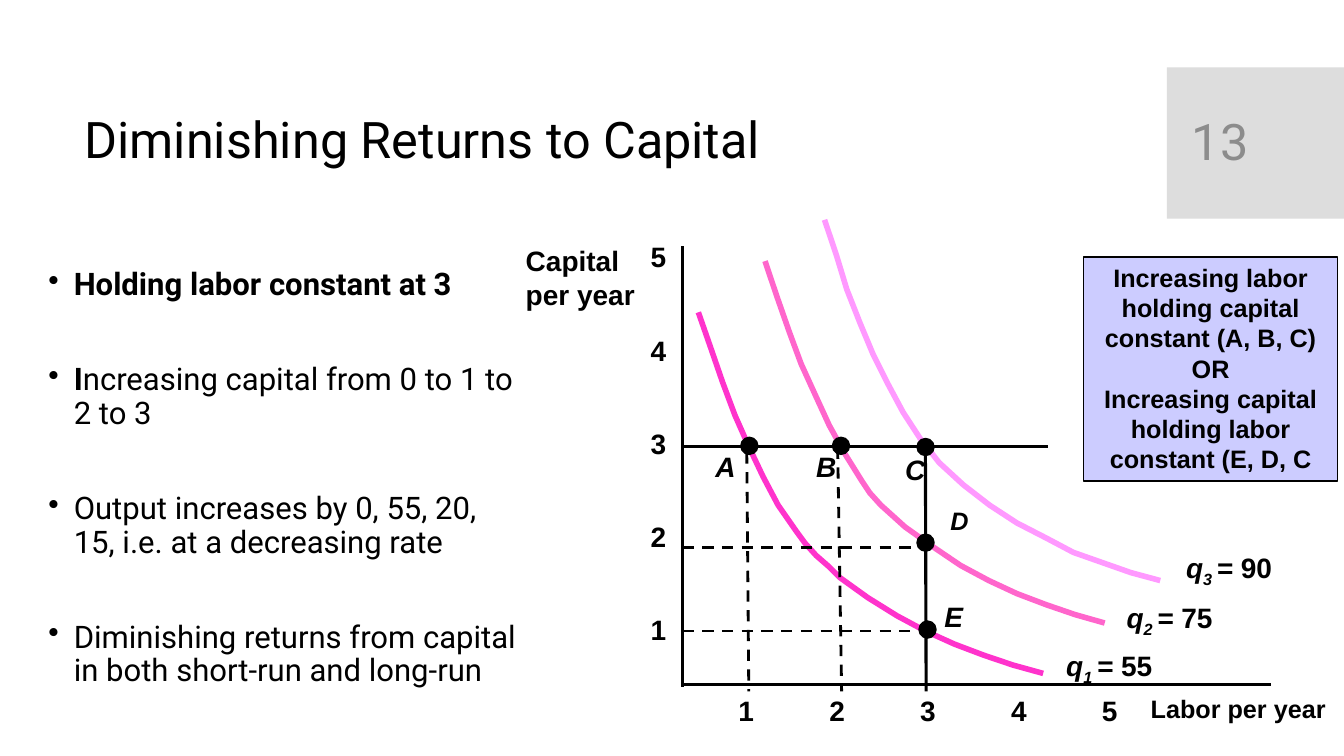
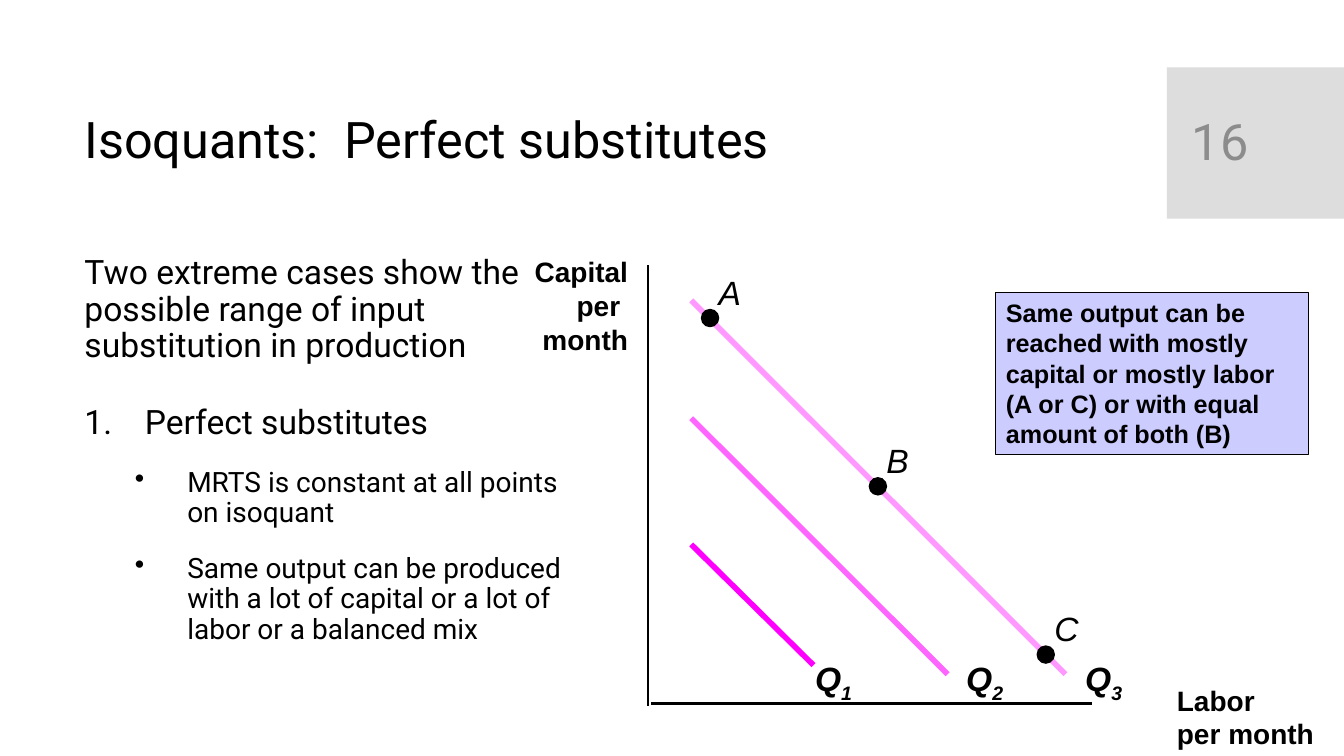
"""Build two lecture slides on isoquants: diminishing returns and perfect substitutes."""
from lxml.etree import SubElement
from pptx import Presentation
from pptx.dml.color import RGBColor
from pptx.enum.dml import MSO_LINE
from pptx.enum.shapes import MSO_CONNECTOR, MSO_SHAPE
from pptx.enum.text import MSO_ANCHOR, PP_ALIGN
from pptx.oxml.ns import qn
from pptx.util import Cm, Pt

BLACK = RGBColor(0x00, 0x00, 0x00)
BAND_GRAY = RGBColor(0xDD, 0xDD, 0xDD)
NUMBER_GRAY = RGBColor(0x8C, 0x8C, 0x8C)
NOTE_BLUE = RGBColor(0xCC, 0xCC, 0xFF)
HOT_PINK = RGBColor(0xFF, 0x33, 0xCC)
MID_PINK = RGBColor(0xFF, 0x66, 0xCC)
LIGHT_PINK = RGBColor(0xFF, 0x99, 0xFF)
MAGENTA = RGBColor(0xFF, 0x00, 0xFF)
PALE_MAGENTA = RGBColor(0xFF, 0x66, 0xFF)
HEADING_FONT = "Roboto"
LABEL_FONT = "Arial"


def add_text(slide, box, lines, size, font=LABEL_FONT, bold=True, italic=False,
             color=BLACK, align=PP_ALIGN.LEFT, anchor=MSO_ANCHOR.TOP, wrap=False):
    shape = slide.shapes.add_textbox(*map(Cm, box))
    frame = shape.text_frame
    frame.word_wrap = wrap
    frame.vertical_anchor = anchor
    for index, line in enumerate(lines):
        paragraph = frame.add_paragraph() if index else frame.paragraphs[0]
        paragraph.text = line
        paragraph.alignment = align
        paragraph.font.name = font
        paragraph.font.size = Pt(size)
        paragraph.font.bold = bold
        paragraph.font.italic = italic
        paragraph.font.color.rgb = color
    return shape


def add_quantity(slide, box, letter, subscript, value, size):
    shape = add_text(slide, box, [letter], size, italic=True)
    paragraph = shape.text_frame.paragraphs[0]
    run = paragraph.add_run()
    run.text = subscript
    run._r.get_or_add_rPr().set("baseline", "-25000")
    if value:
        paragraph.add_run().text = "= "
        run = paragraph.add_run()
        run.text = value
        run.font.italic = False


presentation = Presentation()
presentation.slide_width = Cm(33.87)
presentation.slide_height = Cm(19.05)

slides = []
for title, number in [("Diminishing Returns to Capital", "13"),
                      ("Isoquants:  Perfect substitutes", "16")]:
    slide = presentation.slides.add_slide(presentation.slide_layouts[6])
    band = slide.shapes.add_shape(MSO_SHAPE.RECTANGLE, Cm(29.41), Cm(1.7), Cm(4.46), Cm(3.81))
    band.shadow.inherit = False
    band.fill.solid()
    band.fill.fore_color.rgb = BAND_GRAY
    band.line.fill.background()
    for box, text, color in [((1.88, 2.08, 26.7, 3), title, BLACK),
                             ((29.79, 2.13, 3.2, 3.02), number, NUMBER_GRAY)]:
        shape = add_text(slide, box, [text], 36, HEADING_FONT, bold=False, color=color,
                         anchor=MSO_ANCHOR.MIDDLE, wrap=True)
        shape.text_frame.paragraphs[0].line_spacing = 0.9
    slides.append(slide)
returns, substitutes = slides

bullet = ("a:buChar", "char", "•")
numbering = ("a:buAutoNum", "type", "arabicPeriod")
bodies = [
    (returns, (0.97, 6.65, 12.42, 11.33), [
        (["Holding labor constant at 3"], 22.2, True, 0, 0.64, 0.64, bullet),
        (["I", "ncreasing capital from 0 to 1 to 2 to 3"], 22.2, False, 44, 0.64, 0.64, bullet),
        (["Output increases by 0, 55, 20, 15, i.e. at a decreasing rate"],
         22.2, False, 44, 0.64, 0.64, bullet),
        (["Diminishing returns from capital in both short-run and long-run"],
         22.2, False, 44, 0.64, 0.64, bullet)]),
    (substitutes, (1.88, 6.32, 12.73, 10.16), [
        (["Two extreme cases show the possible range of input substitution in production"],
         24, False, 0, 0, 0, None),
        (["Perfect substitutes"], 24, False, 29.5, 1.52, 1.52, numbering),
        (["MRTS is constant at all points on isoquant"], 20, False, 18.5, 2.59, 1.32, bullet),
        (["Same output can be produced with a lot of capital or a lot of labor "
          "or a balanced mix"], 20, False, 18.5, 2.59, 1.32, bullet)]),
]
for slide, box, items in bodies:
    frame = slide.shapes.add_textbox(*map(Cm, box)).text_frame
    frame.word_wrap = True
    for index, (texts, size, bold, space, margin, hanging, marker) in enumerate(items):
        paragraph = frame.add_paragraph() if index else frame.paragraphs[0]
        for text in texts:
            paragraph.add_run().text = text
        if marker:
            tag, attribute, value = marker
            properties = paragraph._p.get_or_add_pPr()
            properties.set("marL", str(Cm(margin)))
            properties.set("indent", str(-Cm(hanging)))
            SubElement(properties, qn(tag)).set(attribute, value)
        paragraph.line_spacing = 0.9
        paragraph.space_before = Pt(space)
        paragraph.font.name = HEADING_FONT
        paragraph.font.size = Pt(size)
        paragraph.font.bold = bold
        paragraph.font.color.rgb = BLACK
        if len(texts) > 1:
            paragraph.runs[0].font.bold = True

notes = [
    (returns, (27.31, 6.48, 6.4, 5.64), PP_ALIGN.CENTER, 1,
     ["Increasing labor holding capital constant (A, B, C)", "OR",
      "Increasing capital holding labor constant (E, D, C"]),
    (substitutes, (25.1, 7.37, 7.87, 4.09), PP_ALIGN.LEFT, 0.75,
     ["Same output can be reached with mostly capital or mostly labor (A or C) "
      "or with equal amount of both (B)"]),
]
for slide, box, align, width, lines in notes:
    note = add_text(slide, box, lines, 18, align=align, wrap=True)
    note.fill.solid()
    note.fill.fore_color.rgb = NOTE_BLUE
    note.line.color.rgb = BLACK
    note.line.width = Pt(width)

isoquants = [
    (HOT_PINK, [
        (17.6, 7.87), (17.91, 8.76), (18.21, 9.63), (18.52, 10.46), (18.87, 11.25),
        (19.23, 12.01), (19.61, 12.73), (20.07, 13.39), (20.29, 13.69), (20.57, 14),
        (20.88, 14.27), (21.16, 14.55), (21.87, 15.06), (22.61, 15.52), (23.32, 15.9),
        (24.05, 16.23), (24.79, 16.51), (25.53, 16.76), (26.29, 16.97)]),
    (MID_PINK, [
        (19.28, 6.58), (19.58, 7.47), (19.89, 8.36), (20.19, 9.17), (20.55, 9.96),
        (20.9, 10.72), (21.29, 11.43), (21.72, 12.12), (21.92, 12.42), (22.2, 12.73),
        (22.5, 13), (22.81, 13.28), (23.5, 13.77), (24.21, 14.25), (24.92, 14.63),
        (25.63, 14.96), (26.37, 15.24), (27.1, 15.49), (27.84, 15.7)]),
    (LIGHT_PINK, [
        (20.78, 5.54), (21.08, 6.43), (21.34, 7.29), (21.67, 8.13), (22, 8.92),
        (22.38, 9.68), (22.76, 10.39), (23.19, 11.05), (23.67, 11.66), (24.28, 12.22),
        (24.94, 12.73), (25.63, 13.18), (26.37, 13.56), (27.05, 13.92), (27.76, 14.17),
        (28.5, 14.43), (29.24, 14.63)]),
]
for color, points in isoquants:
    start, *rest = [(Cm(x), Cm(y)) for x, y in points]
    builder = returns.shapes.build_freeform(*start)
    builder.add_line_segments(rest, close=False)
    curve = builder.convert_to_shape()
    curve.shadow.inherit = False
    curve.fill.background()
    curve.line.color.rgb = color
    curve.line.width = Pt(4)

lines = [
    (returns, (17.22, 17.25, 32.03, 17.25), BLACK, 2, False),
    (returns, (17.2, 6.2, 17.2, 17.3), BLACK, 2, False),
    (returns, (17.2, 11.25, 26.42, 11.25), BLACK, 2, False),
    (returns, (23.32, 11.13, 23.34, 17.42), BLACK, 2.25, False),
    (returns, (18.82, 11.4, 18.87, 17.42), BLACK, 2, True),
    (returns, (21.11, 11.28, 21.21, 17.42), BLACK, 2, True),
    (returns, (17.2, 13.79, 23.06, 13.79), BLACK, 2, True),
    (returns, (17.2, 15.9, 22.94, 15.9), BLACK, 2, True),
    (substitutes, (16.33, 6.68, 16.33, 17.78), BLACK, 2, False),
    (substitutes, (16.41, 17.73, 27.53, 17.73), BLACK, 2, False),
    (substitutes, (17.42, 13.72, 20.5, 16.76), MAGENTA, 4, False),
    (substitutes, (17.42, 10.54, 23.88, 16.99), PALE_MAGENTA, 4, False),
    (substitutes, (17.42, 7.57, 26.85, 16.99), LIGHT_PINK, 4, False),
]
for slide, ends, color, width, dashed in lines:
    connector = slide.shapes.add_connector(MSO_CONNECTOR.STRAIGHT, *map(Cm, ends))
    connector.line.color.rgb = color
    connector.line.width = Pt(width)
    if dashed:
        connector.line.dash_style = MSO_LINE.DASH
    SubElement(connector._element.spPr, qn("a:effectLst"))

points = [
    (returns, "A", 18.67, 11.02, (17.78, 11.2), 20, True),
    (returns, "B", 20.98, 11.02, (20.32, 11.2), 20, True),
    (returns, "C", 23.11, 11.05, (22.56, 11.28), 20, True),
    (returns, "D", 23.11, 13.46, (23.7, 12.6), 18, True),
    (returns, "E", 23.16, 15.65, (23.55, 14.99), 20, True),
]
for step, letter in enumerate("ABC"):
    x, y = 17.68 + 4.23 * step, 7.8 + 4.24 * step
    points.append((substitutes, letter, x, y, (x + 0.18, y - 1.08), 24, False))
for slide, letter, x, y, corner, size, bold in points:
    dot = slide.shapes.add_shape(MSO_SHAPE.OVAL, Cm(x), Cm(y), Cm(0.43), Cm(0.43))
    dot.shadow.inherit = False
    dot.fill.solid()
    dot.fill.fore_color.rgb = BLACK
    dot.line.color.rgb = BLACK
    dot.line.width = Pt(1)
    add_text(slide, (*corner, 1.02, 1.09), [letter], size, bold=bold, italic=True)

for step in range(5):
    for x, y in [(18.36 + 2.29 * step, 17.35), (16.15, 15.32 - 2.35 * step)]:
        add_text(returns, (x, y, 0.91, 1.09), [str(step + 1)], 20)

add_text(returns, (28.75, 17.35, 4.95, 1.02), ["Labor per year"], 18)
add_text(returns, (13, 6.02, 3.28, 1.96), ["Capital", "per year"], 20)
add_text(substitutes, (29.41, 17.09, 3.99, 1.96), ["Labor", "per month"], 20)
add_text(substitutes, (13.21, 6.3, 2.87, 2.82), ["Capital", "per ", "month"], 20,
         align=PP_ALIGN.RIGHT)

for subscript, x, y, value in [("1 ", 26.62, 16.21, "55"), ("2 ", 28.14, 15.01, "75"),
                               ("3 ", 29.64, 13.74, "90")]:
    add_quantity(returns, (x, y, 2.74, 1.09), "q", subscript, value, 20)
for subscript, x in [("1", 20.29), ("2", 24.1), ("3", 27.1)]:
    add_quantity(substitutes, (x, 16.46, 1.5, 1.27), "Q", subscript, "", 24)

presentation.save("out.pptx")
